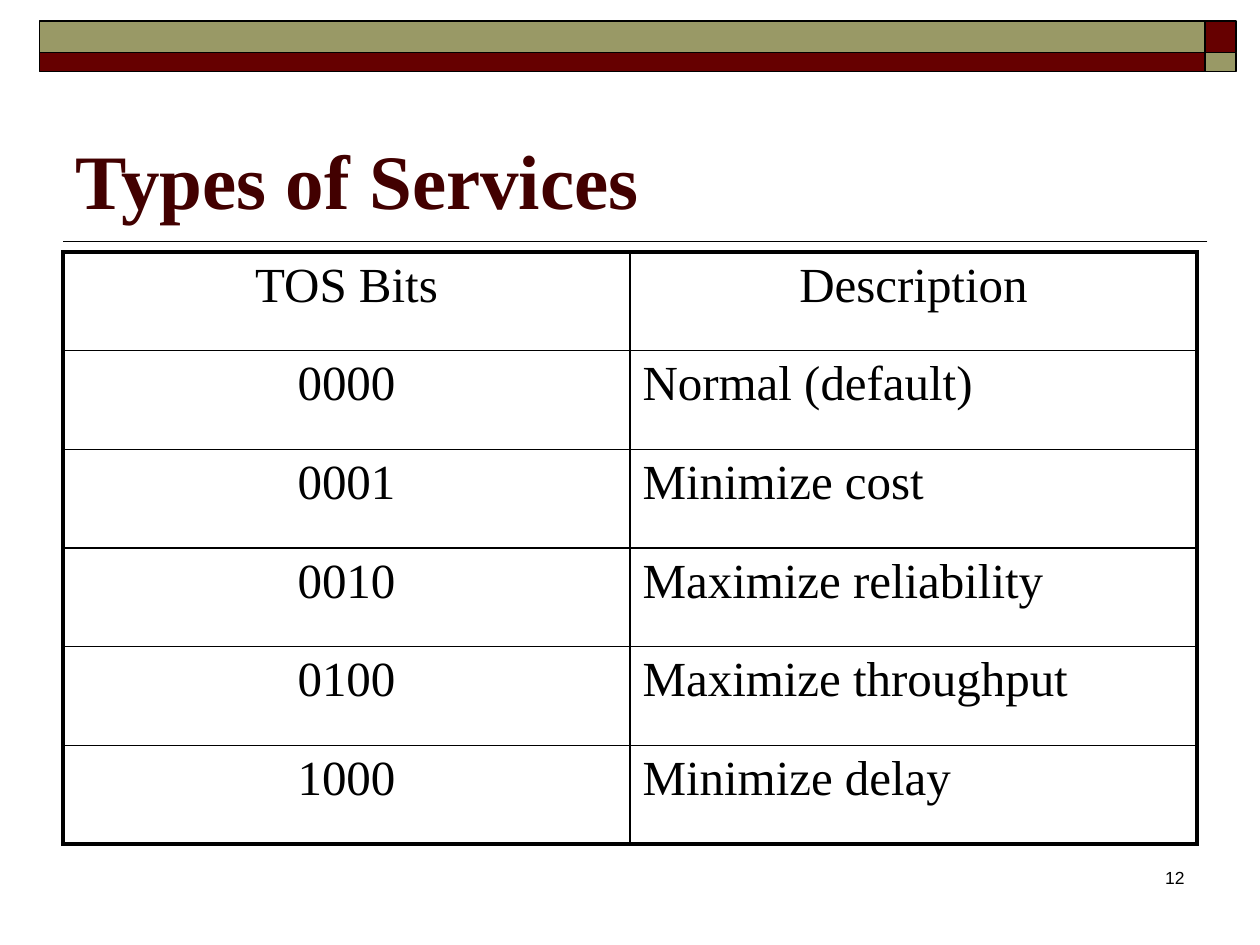
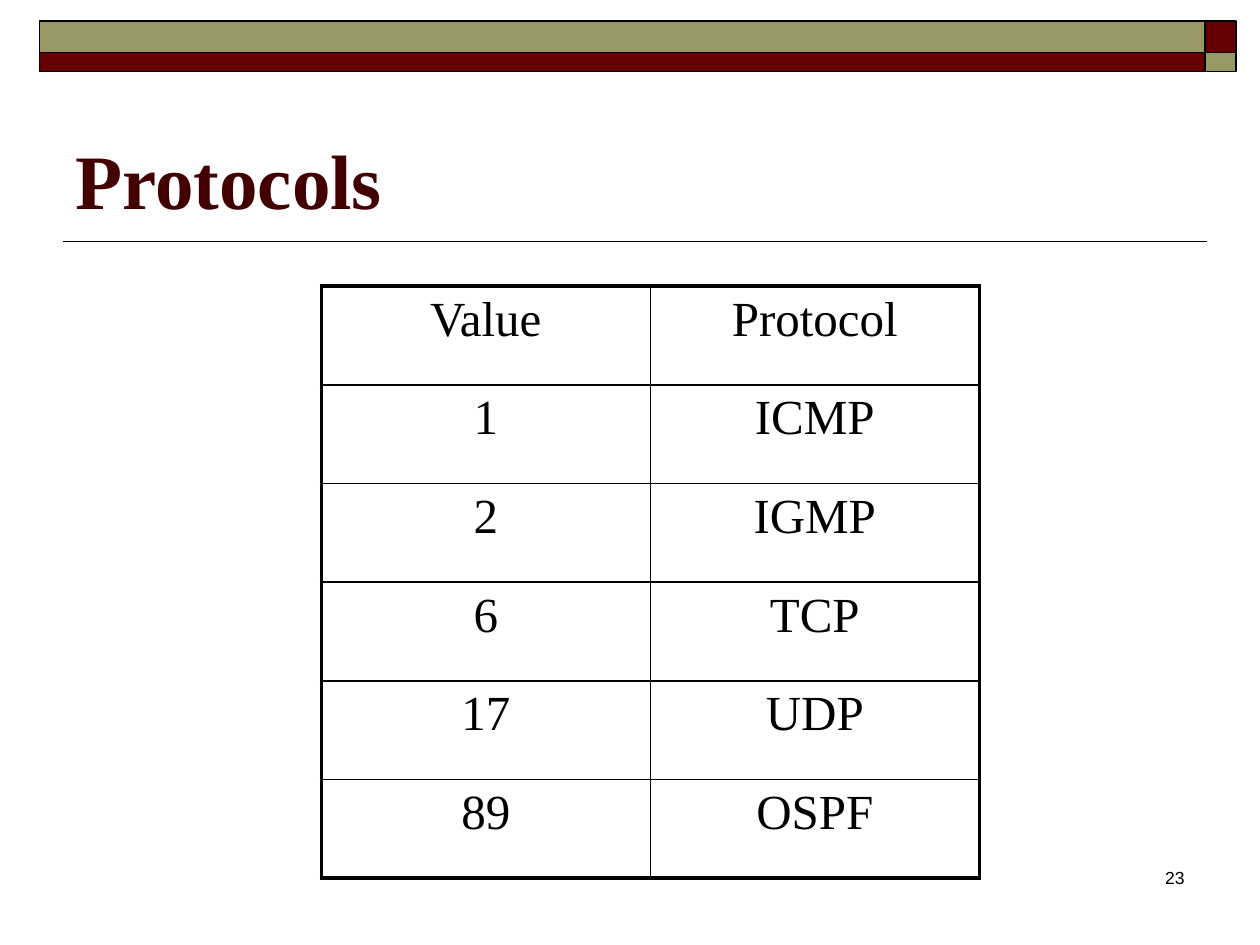
import pptx
import pptx.dml.color
import pptx.enum.shapes
import pptx.enum.text
import pptx.oxml
import pptx.oxml.ns
import pptx.util

Pt = pptx.util.Pt
Align = pptx.enum.text.PP_ALIGN
Anchor = pptx.enum.text.MSO_ANCHOR
SERIF = "Times New Roman"
BLACK, WINE, OLIVE = "000000", "660000", "999966"
TITLE = dict(name=SERIF, size=Pt(44), bold=True, color="420000")
CELL = dict(name=SERIF, size=Pt(28), bold=False, color=BLACK)
NUMBER = dict(name="Arial", size=Pt(10), bold=False, color=BLACK)
ROW = 56.4
THIN, THICK = 1, 2.25


def rgb(code):
    return pptx.dml.color.RGBColor.from_string(code)


class Deck:
    """Holds the deck style and the current slide."""

    def __init__(self):
        self.file = pptx.Presentation()
        self.file.slide_width, self.file.slide_height = Pt(720), Pt(540)

    def page(self, title, number):
        self.slide = self.file.slides.add_slide(self.file.slide_layouts[5])
        self.shapes = self.slide.shapes
        self.rule(690, 36, 138)
        for x, width, colors in ((22.5, 666, (OLIVE, WINE)), (688.5, 18, (WINE, OLIVE))):
            for y, height, color in zip((12, 30), (18, 11), colors):
                self.band(x, y, width, height, color)
        self.title(title)
        self.label(number)

    def text(self, frame, words, style, align):
        para = frame.paragraphs[0]
        para.alignment = align
        run = para.add_run()
        run.text = words
        for key, value in style.items():
            if key == "color":
                run.font.color.rgb = rgb(value)
            else:
                setattr(run.font, key, value)

    def rule(self, start, end, y):
        line = self.shapes.add_connector(
            pptx.enum.shapes.MSO_CONNECTOR.STRAIGHT, Pt(start), Pt(y), Pt(end), Pt(y))
        line.line.color.rgb = rgb(BLACK)
        line.line.width = Pt(THIN)
        props = line._element.spPr
        props.append(props.makeelement(pptx.oxml.ns.qn("a:effectLst"), {}))

    def band(self, x, y, width, height, color):
        rect = self.shapes.add_shape(
            pptx.enum.shapes.MSO_SHAPE.RECTANGLE, Pt(x), Pt(y), Pt(width), Pt(height))
        rect.shadow.inherit = False
        rect.fill.solid()
        rect.fill.fore_color.rgb = rgb(color)
        rect.line.color.rgb = rgb(BLACK)
        rect.line.width = Pt(THIN)

    def title(self, words):
        head = self.shapes.title
        place = dict(left=Pt(36), top=Pt(42), width=Pt(648), height=Pt(90))
        for key, value in place.items():
            setattr(head, key, value)
        frame = head.text_frame
        frame.auto_size = pptx.enum.text.MSO_AUTO_SIZE.NONE
        frame.vertical_anchor = Anchor.BOTTOM
        self.text(frame, words, TITLE, Align.LEFT)

    def label(self, number):
        box = self.shapes.add_textbox(Pt(534), Pt(492), Pt(150), Pt(36))
        box.text_frame.word_wrap = True
        self.text(box.text_frame, str(number), NUMBER, Align.RIGHT)

    def edge(self, cell, side, width):
        cell._tc.get_or_add_tcPr().append(pptx.oxml.parse_xml(
            f'<a:ln{side} {pptx.oxml.ns.nsdecls("a")} w="{Pt(width)}">'
            f'<a:solidFill><a:srgbClr val="{BLACK}"/></a:solidFill></a:ln{side}>'))

    def table(self, x, y, width, rows, aligns):
        count, wide = len(rows), len(aligns)
        grid = self.shapes.add_table(
            count, wide, Pt(x), Pt(y), Pt(width), Pt(ROW * count)).table
        grid.first_row = grid.horz_banding = False
        for r, row in enumerate(rows):
            grid.rows[r].height = Pt(ROW)
            for c, words in enumerate(row):
                cell = grid.cell(r, c)
                outer = dict(L=c == 0, R=c == wide - 1, T=r == 0, B=r == count - 1)
                for side, thick in outer.items():
                    self.edge(cell, side, THICK if thick else THIN)
                cell.fill.background()
                align = aligns[c] if r else Align.CENTER
                self.text(cell.text_frame, words, CELL, align)


def main():
    deck = Deck()
    deck.page("Types of Services", 12)
    deck.table(36, 144, 648, (
        ("TOS Bits", "Description"),
        ("0000", "Normal (default)"),
        ("0001", "Minimize cost"),
        ("0010", "Maximize reliability"),
        ("0100", "Maximize throughput"),
        ("1000", "Minimize delay"),
    ), (Align.CENTER, Align.LEFT))
    deck.page("Protocols", 23)
    deck.table(183.6, 163.5, 376, (
        ("Value", "Protocol"),
        ("1", "ICMP"),
        ("2", "IGMP"),
        ("6", "TCP"),
        ("17", "UDP"),
        ("89", "OSPF"),
    ), (Align.CENTER, Align.CENTER))
    deck.file.save("out.pptx")


if __name__ == "__main__":
    main()
